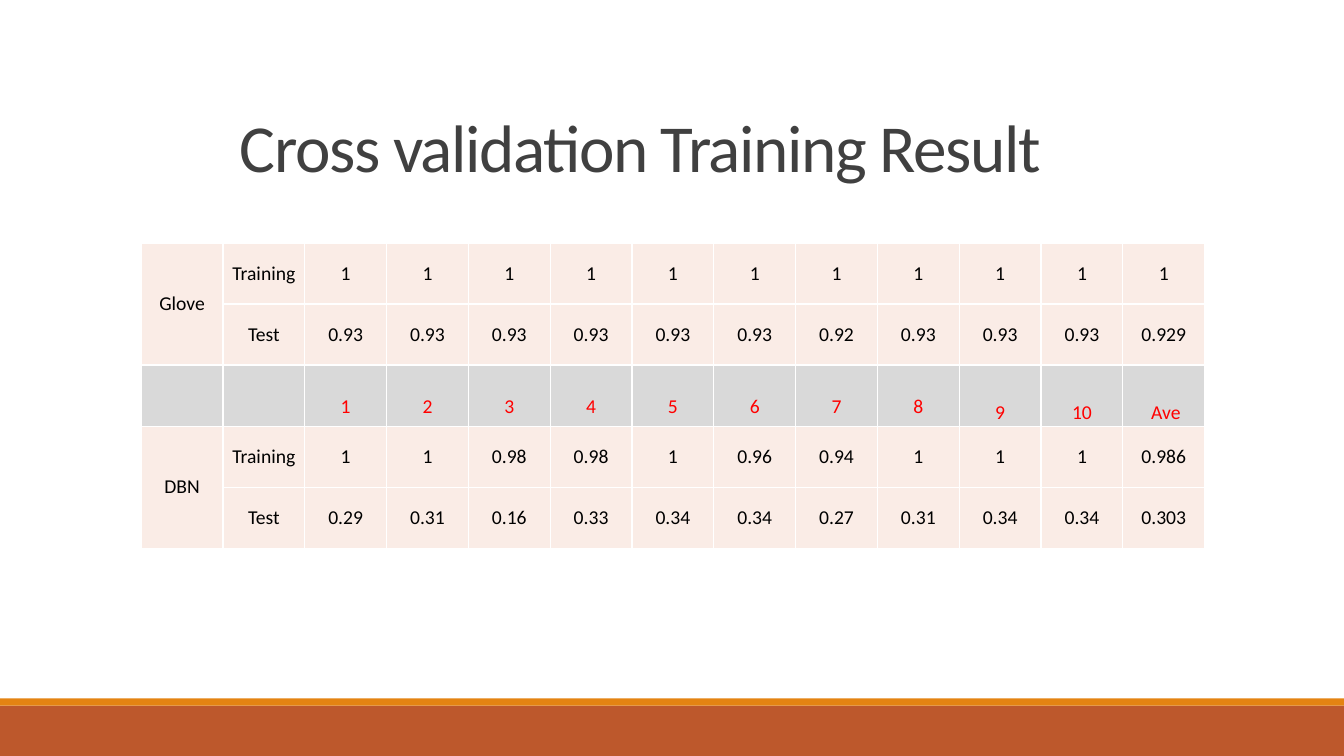
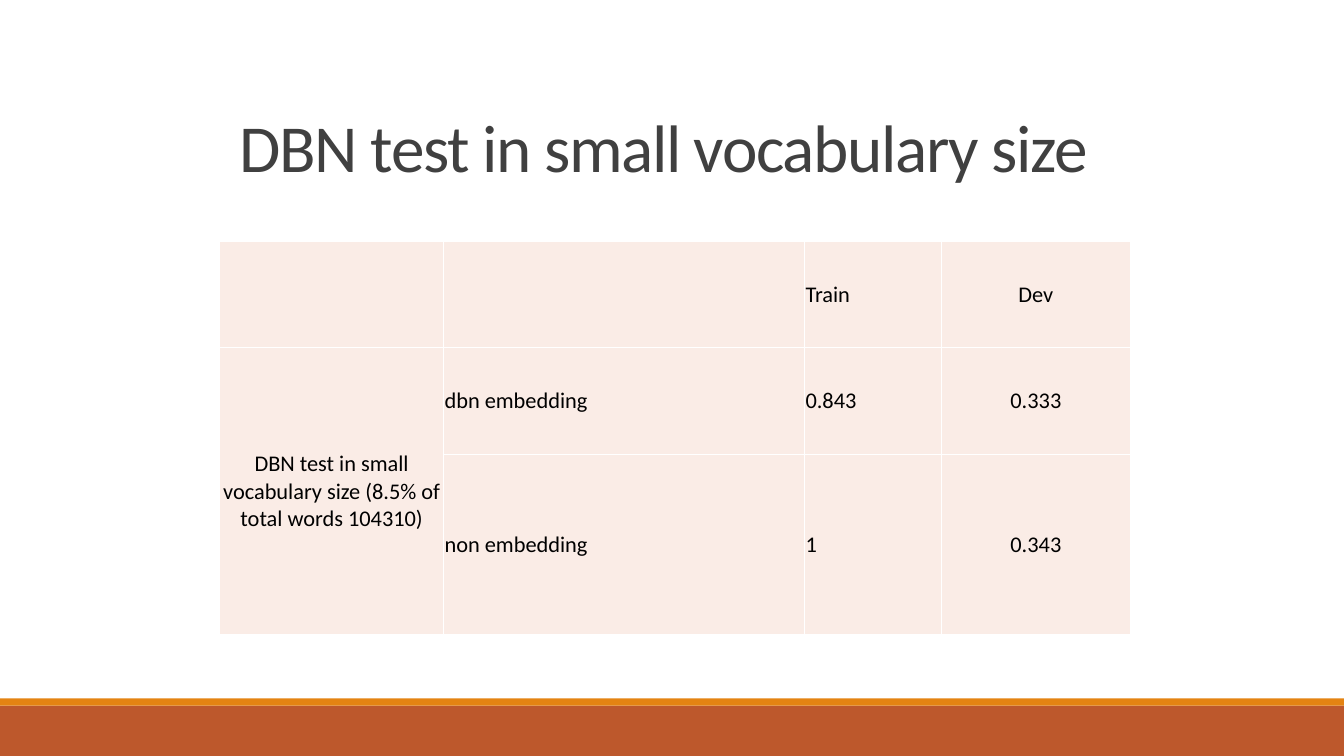
from dataclasses import dataclass

from lxml import etree
from pptx import Presentation
from pptx import util as u
from pptx.dml.color import RGBColor
from pptx.enum import shapes, text
from pptx.oxml.ns import qn


@dataclass(frozen=True)
class Theme:
    font: str = "Calibri"
    title_size: int = 48
    folds_size: int = 14
    vocabulary_size: int = 16
    title: str = "404040"
    ink: str = "000000"
    accent: str = "FF0000"
    cell: str = "FAECE6"
    header: str = "D9D9D9"
    border: str = "FFFFFF"
    band: str = "BD582C"
    stripe: str = "E48312"


THEME = Theme()
SLIDE_W, SLIDE_H = 13.33, 7.5
CELL_INSET = 0.01
CENTER, LEFT = text.PP_ALIGN.CENTER, text.PP_ALIGN.LEFT


def inches(box):
    return [u.Inches(length) for length in box]


def style_font(font, size, color):
    font.name = THEME.font
    font.size = u.Pt(size)
    font.color.rgb = RGBColor.from_string(color)


def set_insets(area, inset):
    area.margin_left = area.margin_right = u.Inches(inset)
    area.margin_top = area.margin_bottom = u.Inches(inset)


def add_band(slide, box, color):
    band = slide.shapes.add_shape(shapes.MSO_SHAPE.RECTANGLE, *inches(box))
    band.shadow.inherit = False
    band.fill.solid()
    band.fill.fore_color.rgb = RGBColor.from_string(color)
    band.line.fill.background()


def add_footer(slide, box):
    """Broad band with a thin stripe on top."""
    left, top, width, height = box
    stripe = 0.07
    add_band(slide, (left, top + stripe, width, height - stripe), THEME.band)
    add_band(slide, (left, top, width, stripe), THEME.stripe)


def add_title(slide, box, wording):
    frame = slide.shapes.add_textbox(*inches(box)).text_frame
    frame.word_wrap = True
    frame.vertical_anchor = text.MSO_ANCHOR.BOTTOM
    set_insets(frame, 0.05)
    heading = frame.paragraphs[0]
    heading.text = wording
    heading.line_spacing = 0.85
    style_font(heading.font, THEME.title_size, THEME.title)
    # Tighter letter spacing, in hundredths of a point
    heading.runs[0].font._element.set("spc", "-100")


def set_borders(cell):
    properties = cell._tc.get_or_add_tcPr()
    for index, side in enumerate(("lnL", "lnR", "lnT", "lnB")):
        line = etree.Element(qn(f"a:{side}"), w=str(u.Pt(1)))
        fill = etree.SubElement(line, qn("a:solidFill"))
        etree.SubElement(fill, qn("a:srgbClr"), val=THEME.border)
        properties.insert(index, line)


def fill_cell(cell, wording, size, align):
    cell.fill.solid()
    cell.fill.fore_color.rgb = RGBColor.from_string(THEME.cell)
    set_borders(cell)
    set_insets(cell, CELL_INSET)
    cell.vertical_anchor = text.MSO_ANCHOR.MIDDLE
    entry = cell.text_frame.paragraphs[0]
    entry.text = wording
    entry.alignment = align
    style_font(entry.font, size, THEME.ink)


def add_grid(slide, box, rows, widths, heights, size, aligns):
    grid = slide.shapes.add_table(len(rows), len(widths), *inches(box)).table
    grid.first_row = grid.horz_banding = False
    for column, width in zip(grid.columns, widths):
        column.width = u.Inches(width)
    for row, height in zip(grid.rows, heights):
        row.height = u.Inches(height)
    for r, wordings in enumerate(rows):
        for c, wording in enumerate(wordings):
            fill_cell(grid.cell(r, c), wording, size, aligns[c])
    return grid


def merge_down(grid, row):
    grid.cell(row, 0).merge(grid.cell(row + 1, 0))


def add_folds_table(slide, box):
    """Scores of ten folds and their average, around a grey header row."""
    rows = [
        ["Glove", "Training"] + ["1"] * 11,
        ["", "Test"] + ["0.93"] * 6 + ["0.92"] + ["0.93"] * 3 + ["0.929"],
        ["", ""] + [str(fold) for fold in range(1, 11)] + ["Ave"],
        ["DBN", "Training", "1", "1", "0.98", "0.98", "1", "0.96", "0.94",
         "1", "1", "1", "0.986"],
        ["", "Test", "0.29", "0.31", "0.16", "0.33", "0.34", "0.34", "0.27",
         "0.31", "0.34", "0.34", "0.303"],
    ]
    count = len(rows[0])
    grid = add_grid(slide, box, rows, [box[2] / count] * count,
                    [box[3] / len(rows)] * len(rows), THEME.folds_size,
                    [CENTER] * count)
    # Fold numbers: the first eight sit a little higher than the rest
    for c in range(count):
        header = grid.cell(2, c)
        header.fill.fore_color.rgb = RGBColor.from_string(THEME.header)
        header.vertical_anchor = text.MSO_ANCHOR.BOTTOM
        header.margin_bottom = u.Inches(0.07 if c < 10 else CELL_INSET)
        style_font(header.text_frame.paragraphs[0].font,
                   THEME.folds_size, THEME.accent)
    grid.cell(2, count - 1).margin_left = u.Inches(0.05)
    for row in (0, 3):
        merge_down(grid, row)


def add_vocabulary_table(slide, box):
    rows = [
        ["", "", "Train", "Dev"],
        ["DBN test in small vocabulary size (8.5% of total words 104310)",
         "dbn embedding", "0.843", "0.333"],
        ["", "non embedding", "1", "0.343"],
    ]
    grid = add_grid(slide, box, rows, [2.22, 3.58, 1.36, 1.87],
                    [1.06, 1.06, 1.79], THEME.vocabulary_size,
                    [CENTER, LEFT, LEFT, CENTER])
    merge_down(grid, 1)


def add_result_slide(deck, title, add_table, table_box):
    slide = deck.slides.add_slide(deck.slide_layouts[6])
    add_footer(slide, (0, 6.93, SLIDE_W, 0.57))
    add_title(slide, (2.33, 0.31, 11, 1.59), title)
    add_table(slide, table_box)


def main():
    deck = Presentation()
    deck.slide_width, deck.slide_height = inches((SLIDE_W, SLIDE_H))
    add_result_slide(deck, "Cross validation Training Result",
                     add_folds_table, (1.4, 2.41, 10.55, 3.03))
    add_result_slide(deck, "DBN test in small vocabulary size",
                     add_vocabulary_table, (2.18, 2.39, 9.03, 3.91))
    deck.save("out.pptx")


if __name__ == "__main__":
    main()
